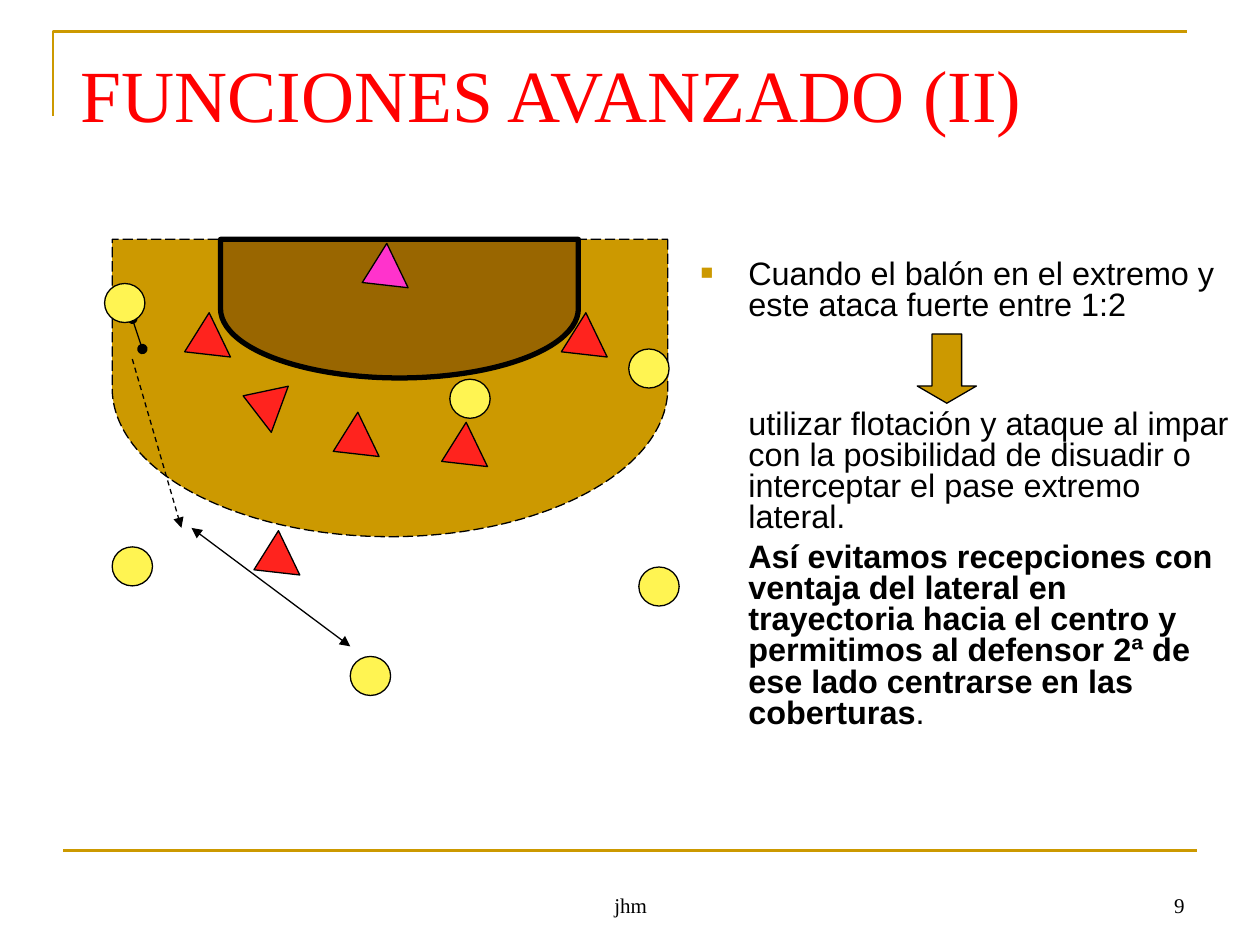
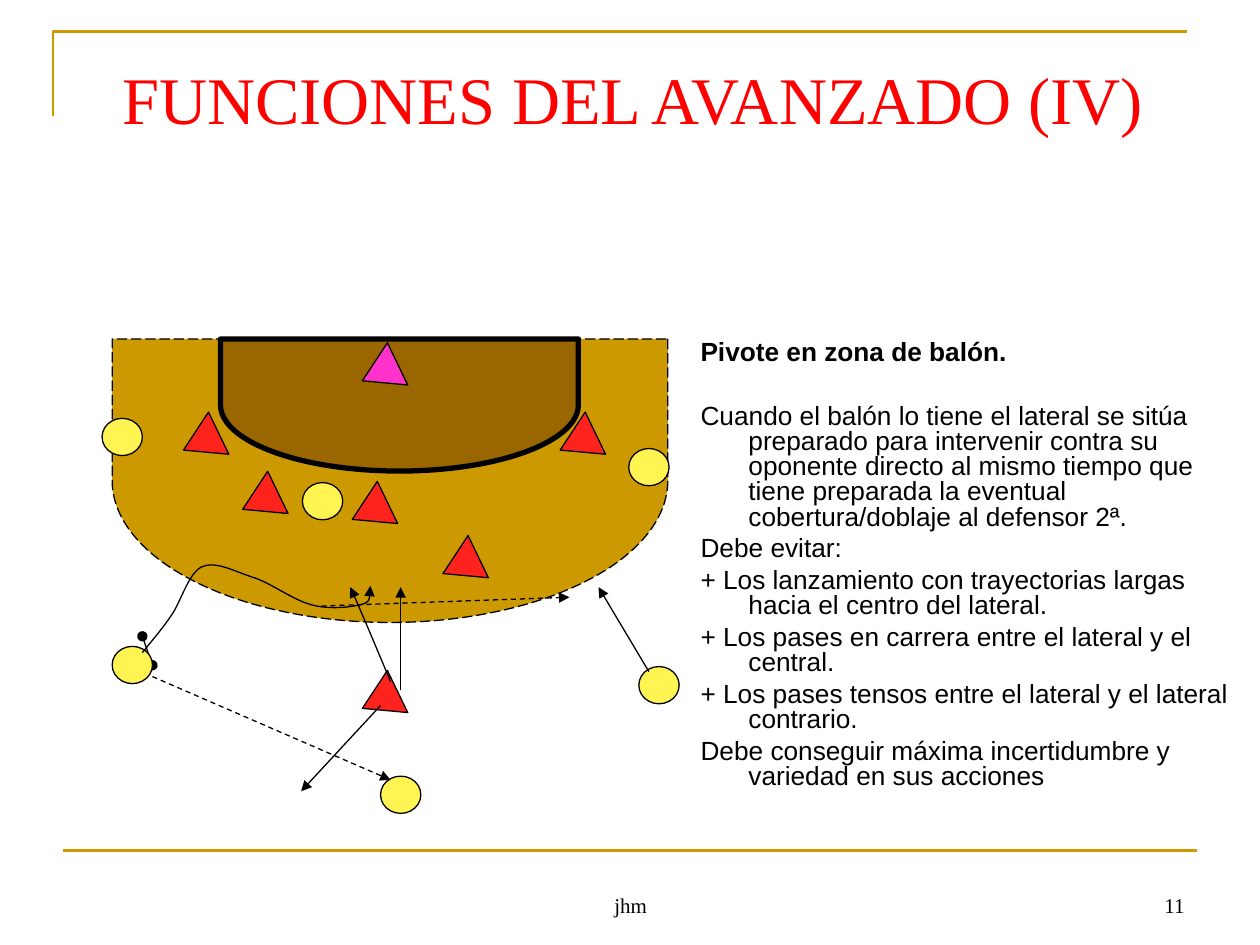
"""Builds two handball slides on the duties of the advanced defender."""
from lxml import etree
from pptx import Presentation
from pptx.dml.color import RGBColor
from pptx.enum.dml import MSO_LINE
from pptx.enum.shapes import MSO_CONNECTOR, MSO_SHAPE
from pptx.enum.text import MSO_ANCHOR, MSO_AUTO_SIZE, PP_ALIGN
from pptx.oxml.ns import qn
from pptx.util import Inches, Pt

GOLD = RGBColor(0xCC, 0x99, 0x00)
BROWN = RGBColor(0x99, 0x66, 0x00)
RED = RGBColor(0xFF, 0x00, 0x00)
DEFENDER_RED = RGBColor(0xFF, 0x23, 0x1E)
KEEPER_PINK = RGBColor(0xFF, 0x33, 0xCC)
ATTACKER_YELLOW = RGBColor(0xFF, 0xF4, 0x52)
BLACK = RGBColor(0x00, 0x00, 0x00)
SERIF, SANS = "Times New Roman", "Arial"

DELAY = MSO_SHAPE.FLOWCHART_DELAY
TRIANGLE = MSO_SHAPE.ISOSCELES_TRIANGLE
OVAL = MSO_SHAPE.OVAL
DOWN_ARROW = MSO_SHAPE.DOWN_ARROW
STRAIGHT = MSO_CONNECTOR.STRAIGHT
DASH, LONG_DASH = MSO_LINE.DASH, MSO_LINE.LONG_DASH
TOP, BOTTOM = MSO_ANCHOR.TOP, MSO_ANCHOR.BOTTOM
LEFT, CENTER, RIGHT = PP_ALIGN.LEFT, PP_ALIGN.CENTER, PP_ALIGN.RIGHT
NO_FIT = MSO_AUTO_SIZE.NONE

THIN = 0.74
TURN = 244.3
INDENT = 0.38
FULL_HEIGHT = 2.36  # court height at which the players have full size


def place(shape, box):
    """Move a shape to a box of left, top, width and height in inches."""
    shape.left, shape.top, shape.width, shape.height = map(Inches, box)


def style_span(span, font, size, color, bold=False):
    """Format one run."""
    span.font.name = font
    span.font.size = Pt(size)
    span.font.color.rgb = color
    span.font.bold = bold


def style_line(line, color=BLACK, width=THIN, dash=None):
    """Set colour, width and dash of an outline."""
    line.color.rgb = color
    line.width = Pt(width)
    if dash:
        line.dash_style = dash


def add_ends(shape, head, tail):
    """Put arrowheads at the start and the end of a line."""
    outline = shape.line._get_or_add_ln()
    for tag, kind in (("a:headEnd", head), ("a:tailEnd", tail)):
        if kind:
            etree.SubElement(outline, qn(tag), type=kind)


def add_preset(page, kind, box, fill, width=THIN, dash=None, turn=0):
    """Add a filled and outlined preset shape."""
    shape = page.shapes.add_shape(kind, *map(Inches, box))
    shape.shadow.inherit = False
    shape.fill.solid()
    shape.fill.fore_color.rgb = fill
    style_line(shape.line, width=width, dash=dash)
    shape.rotation = turn
    return shape


def add_line(page, start, end, color=BLACK, width=THIN, dash=None,
             head=None, tail=None):
    """Add a straight line, with arrowheads if wanted."""
    line = page.shapes.add_connector(STRAIGHT, *map(Inches, start + end))
    etree.SubElement(line._element.spPr, qn("a:effectLst"))
    style_line(line.line, color, width, dash)
    add_ends(line, head, tail)


def add_outline(page, points, color, width):
    """Add an open, unfilled freeform through the points."""
    spots = [(Inches(x), Inches(y)) for x, y in points]
    builder = page.shapes.build_freeform(*spots[0])
    builder.add_line_segments(spots[1:], close=False)
    shape = builder.convert_to_shape()
    shape.shadow.inherit = False
    shape.fill.background()
    style_line(shape.line, color, width)
    return shape


def add_curve(page, points):
    """Add an arrow along cubic curves, three points to each curve."""
    shape = add_outline(page, points, BLACK, THIN)
    track = shape._element.find(".//" + qn("a:path"))
    steps = track.findall(qn("a:lnTo"))
    for index in range(0, len(steps), 3):
        bend = etree.SubElement(track, qn("a:cubicBezTo"))
        for step in steps[index:index + 3]:
            bend.append(step[0])
            track.remove(step)
    add_ends(shape, None, "triangle")


def add_frame(page):
    """Draw the corner rule and the footer rule."""
    add_outline(page, [(0.42, 0.92), (0.42, 0.25), (9.42, 0.25)], GOLD, 1.5)
    add_line(page, (0.5, 6.75), (9.5, 6.75), GOLD, 1.5)


def add_footer(page, number):
    """Write the author and the page number."""
    for text, box, align in (("jhm", (3.42, 6.83, 3.17, 0.5), CENTER),
                             (number, (7.17, 6.83, 2.33, 0.5), RIGHT)):
        frame = page.shapes.add_textbox(*map(Inches, box)).text_frame
        frame.word_wrap = True
        frame.vertical_anchor = BOTTOM
        frame.text = text
        para = frame.paragraphs[0]
        para.alignment = align
        style_span(para.runs[0], SERIF, 12, BLACK)


def set_title(page, text, box, size):
    """Fill the title placeholder."""
    title = page.shapes.title
    place(title, box)
    frame = title.text_frame
    frame.auto_size = NO_FIT
    frame.vertical_anchor = TOP
    frame.text = text
    para = frame.paragraphs[0]
    para.alignment = LEFT
    style_span(para.runs[0], SERIF, size, RED)


def set_bullet(para, first, bullet):
    """Indent a paragraph and give it a gold square or no bullet."""
    props = para._p.get_or_add_pPr()
    props.set("marL", str(Inches(INDENT)))
    props.set("indent", str(Inches(first)))
    if not bullet:
        etree.SubElement(props, qn("a:buNone"))
        return
    color = etree.SubElement(props, qn("a:buClr"))
    etree.SubElement(color, qn("a:srgbClr"), val=str(GOLD))
    etree.SubElement(props, qn("a:buSzPct"), val="65000")
    etree.SubElement(props, qn("a:buFont"), typeface=SANS)
    etree.SubElement(props, qn("a:buChar"), char="■")


def set_body(page, box, size, items):
    """Fill the body with (spans, space before, first indent, bullet) items."""
    body = page.placeholders[1]
    place(body, box)
    frame = body.text_frame
    frame.auto_size = NO_FIT
    frame.vertical_anchor = TOP
    for index, (spans, before, first, bullet) in enumerate(items):
        para = frame.add_paragraph() if index else frame.paragraphs[0]
        para.alignment = LEFT
        para.line_spacing = 0.8
        para.space_before = Pt(before)
        set_bullet(para, first, bullet)
        for text, bold in spans:
            span = para.add_run()
            span.text = text
            style_span(span, SANS, size, BLACK, bold)


def add_zone(page, box, fill, width, dash=None):
    """Draw a half-round zone that opens upwards and fills the box."""
    left, top, across, down = box
    shift = (across - down) / 2
    add_preset(page, DELAY, (left + shift, top - shift, down, across),
               fill, width, dash, 90)


def add_court(page, box, keeper, attackers, defenders, ball, arrows, curves=()):
    """Draw the court, its players and their moves, offset from its corner."""
    left, top, across, down = box
    scale = down / FULL_HEIGHT

    def at(spot):
        return left + spot[0], top + spot[1]

    add_zone(page, box, GOLD, THIN, LONG_DASH)
    add_zone(page, at((0.86, 0)) + (2.84, 1.1 * scale), BROWN, 3)
    add_line(page, at(ball[0]), at(ball[1]), head="oval", tail="oval")
    for spot in attackers:
        add_preset(page, OVAL, at(spot) + (0.32, 0.31 * scale), ATTACKER_YELLOW)
    players = [(keeper, TURN, KEEPER_PINK)]
    players += [(spot, turn, DEFENDER_RED) for spot, turn in defenders]
    for spot, turn, fill in players:
        add_preset(page, TRIANGLE, at(spot) + (0.39 * scale, 0.31), fill,
                   turn=turn)
    for start, end, dash, head in arrows:
        add_line(page, at(start), at(end), dash=dash, head=head,
                 tail="triangle")
    for points in curves:
        add_curve(page, [at(point) for point in points])


def start_page(deck, title, title_box, title_size, number):
    """Add a slide with its frame, title and footer."""
    page = deck.slides.add_slide(deck.slide_layouts[1])
    add_frame(page)
    set_title(page, title, title_box, title_size)
    add_footer(page, number)
    return page


def build_wing_attack(deck):
    """Build the slide on the attack from the wing."""
    page = start_page(deck, "FUNCIONES AVANZADO (II)",
                      (0.54, 0.34, 8.93, 0.69), 42, "9")
    set_body(page, (5.46, 2.02, 4.42, 4.1), 18.5, [
        ([("Cuando el balón en el extremo y este ataca fuerte entre 1:2",
           False)], 5, -INDENT, True),
        ([("utilizar flotación y ataque al impar con la posibilidad de "
           "disuadir o interceptar el pase extremo lateral.", False)],
         50, 0, False),
        ([("Así evitamos recepciones con ventaja del lateral en trayectoria "
           "hacia el centro y permitimos al defensor 2ª de ese lado "
           "centrarse en las coberturas", True), (".", False)], 5, 0, False),
    ])
    add_court(
        page, (0.89, 1.9, 4.41, 2.36), keeper=(1.93, 0.12),
        attackers=[(0, 2.44), (2.68, 1.11), (4.1, 0.87), (4.18, 2.6),
                   (1.89, 3.31), (-0.06, 0.35)],
        defenders=[((0.52, 0.67), TURN), ((0.99, 1.14), 290.2),
                   ((1.7, 1.46), TURN), ((1.07, 2.4), TURN),
                   ((2.56, 1.54), TURN), ((3.51, 0.67), TURN)],
        ball=((0.16, 0.63), (0.24, 0.87)),
        arrows=[((0.16, 0.95), (0.55, 2.29), DASH, None),
                ((1.89, 3.23), (0.63, 2.29), None, "triangle")])
    arrow = add_preset(page, DOWN_ARROW, (7.28, 2.65, 0.47, 0.55), GOLD)
    arrow.adjustments[0] = 0.5
    arrow.adjustments[1] = 0.29


def build_pivot_zone(deck):
    """Build the slide on the pivot in the ball zone."""
    page = start_page(deck, "FUNCIONES DEL AVANZADO (IV)",
                      (0.87, 0.41, 8.58, 0.78), 38, "11")
    lines = [
        "Pivote en zona de balón.",
        "Cuando el balón lo tiene el lateral se sitúa preparado para "
        "intervenir contra su oponente directo al mismo tiempo que tiene "
        "preparada la eventual cobertura/doblaje al defensor 2ª.",
        "Debe evitar:",
        "+ Los lanzamiento con trayectorias largas hacia el centro del "
        "lateral.",
        "+ Los pases en carrera entre el lateral y el central.",
        "+ Los pases tensos entre el lateral y el lateral contrario.",
        "Debe conseguir máxima incertidumbre y variedad en sus acciones",
    ]
    set_body(page, (5.46, 2.66, 4.43, 4.71), 15, [
        ([(text, index == 0)], 22 if index == 1 else 3.7, -INDENT, False)
        for index, text in enumerate(lines)])
    feint = [(0.24, 2.49), (0.32, 2.39), (0.4, 2.3), (0.48, 2.18),
             (0.55, 2.07), (0.61, 1.86), (0.71, 1.81), (0.82, 1.76),
             (0.96, 1.84), (1.11, 1.89), (1.25, 1.93), (1.43, 2.07),
             (1.58, 2.11), (1.72, 2.15), (1.89, 2.13), (1.97, 2.11),
             (2.05, 2.09), (2.05, 2.02), (2.05, 1.96)]
    retreat = [(2.21, 2.72), (2.08, 2.41), (1.95, 2.1), (1.89, 1.97)]
    defenders = [(0.52, 0.66), (0.99, 1.13), (1.86, 1.21), (1.94, 2.71),
                 (2.58, 1.64), (3.51, 0.66)]
    add_court(
        page, (0.89, 2.69, 4.41, 2.25), keeper=(1.94, 0.11),
        attackers=[(-0.08, 0.63), (0, 2.44), (1.51, 1.14), (4.1, 0.87),
                   (4.18, 2.6), (2.13, 3.47)],
        defenders=[(spot, TURN) for spot in defenders],
        ball=((0.24, 2.36), (0.32, 2.59)),
        arrows=[((0.32, 2.68), (2.21, 3.5), DASH, None),
                ((2.13, 2.91), (1.5, 3.59), None, None),
                ((1.66, 2.12), (3.63, 2.05), DASH, None),
                ((4.26, 2.64), (3.86, 1.97), None, None),
                ((2.29, 2.79), (2.29, 1.97), None, None)],
        curves=[feint, retreat])


deck = Presentation()
deck.slide_width, deck.slide_height = Inches(10), Inches(7.5)
build_wing_attack(deck)
build_pivot_zone(deck)
deck.save("out.pptx")
